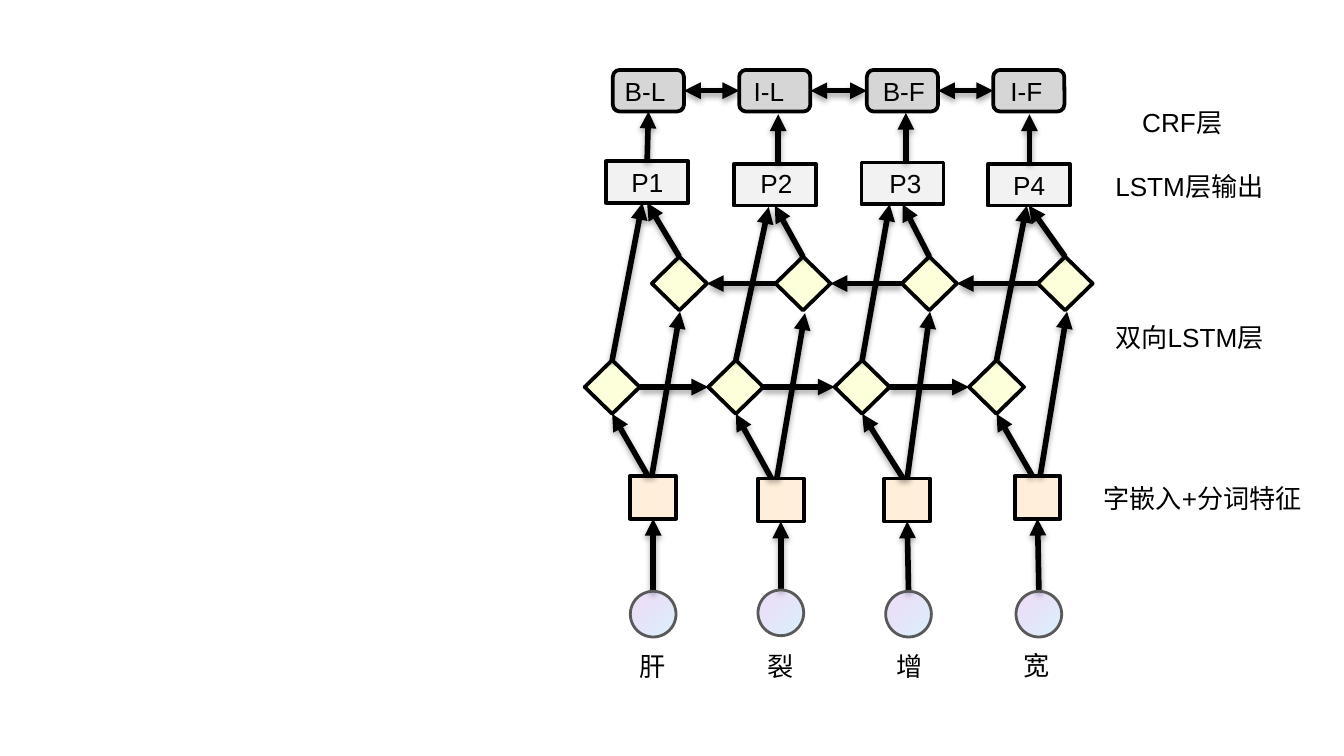
"""Draw a BiLSTM-CRF sequence labelling network with its layer captions."""
from lxml.etree import SubElement
from pptx import Presentation
from pptx.dml.color import RGBColor
from pptx.enum.shapes import MSO_CONNECTOR as LINK, MSO_SHAPE as SHAPE
from pptx.enum.text import MSO_AUTO_SIZE as AUTO_SIZE
from pptx.oxml.ns import qn
from pptx.util import Pt

PX = 9144
TOP, LEFT, BOTTOM, RIGHT = range(4)
rgb = RGBColor.from_string

deck = Presentation()
deck.slide_width = 1000 * PX
deck.slide_height = deck.slide_width * 9 // 16
shapes = deck.slides.add_slide(deck.slide_layouts[6]).shapes


def add_node(kind, x, y, width, height, fill):
    node = shapes.add_shape(kind, x * PX, y * PX, width * PX, height * PX)
    node.shadow.inherit = False
    node.fill.solid()
    node.fill.fore_color.rgb = rgb(fill)
    node.line.color.rgb = rgb("000000")
    node.line.width = Pt(2)
    return node


def add_arrow(start, end, both_ways=False):
    points = [(0, 0) if hasattr(spot[0], "shape_id") else spot for spot in (start, end)]
    arrow = shapes.add_connector(LINK.STRAIGHT, *[value * PX for point in points for value in point])
    if hasattr(start[0], "shape_id"):
        arrow.begin_connect(*start)
    if hasattr(end[0], "shape_id"):
        arrow.end_connect(*end)
    arrow.line.color.rgb = rgb("000000")
    arrow.line.width = Pt(3)
    outline = arrow.line._get_or_add_ln()
    if both_ways:
        SubElement(outline, qn("a:headEnd"), type="triangle")
    SubElement(outline, qn("a:tailEnd"), type="triangle")
    effects = SubElement(arrow._element.spPr, qn("a:effectLst"))
    shadow = SubElement(effects, qn("a:outerShdw"), blurRad="40000", dist="23000",
                        dir="5400000", rotWithShape="0")
    shade = SubElement(shadow, qn("a:srgbClr"), val="000000")
    SubElement(shade, qn("a:alpha"), val="35000")
    return arrow


tags = [add_node(SHAPE.ROUNDED_RECTANGLE, x, 52, 53, 31, "D6D6D6") for x in (456, 550, 645, 739)]
outputs = [add_node(SHAPE.RECTANGLE, x, y, 61, 31, "F2F2F2")
           for x, y in ((451, 120), (546, 122), (641, 121), (735, 122))]
backward = [add_node(SHAPE.DIAMOND, x, 191, 41, 40, "FCFFD9") for x in (485, 577, 671, 772)]
forward = [add_node(SHAPE.DIAMOND, x, 268, 41, 40, "FCFFD9") for x in (435, 527, 621, 721)]
embeddings = [add_node(SHAPE.RECTANGLE, x, y, 34, 32, "FFEED9")
              for x, y in ((469, 354), (564, 356), (658, 356), (755, 354))]

for i in range(3):
    add_arrow((tags[i], RIGHT), (tags[i + 1], LEFT), both_ways=True)
    add_arrow((backward[i + 1], LEFT), (backward[i], RIGHT))
    add_arrow((forward[i], RIGHT), (forward[i + 1], LEFT))

add_arrow((outputs[0], TOP), (tags[0], BOTTOM))
for x, y in (579, 121), (674, 120), (766, 121):
    add_arrow((x, y), (x, y - 36))

backward_starts = (485, 354), (578, 356), (675, 356), (774, 354)
backward_ends = (506, 232), (599, 233), (692, 232), (794, 232)
forward_starts = (482, 354), (574, 356), (672, 356), (768, 354)
output_ends = (478, 151), (572, 154), (662, 152), (764, 153)
word_spots = (469, 440), (564, 439), (659, 440), (756, 440)
word_arrows = []
for i, (x, y) in enumerate(word_spots):
    word_arrows.append(add_arrow((x + 17, y), (embeddings[i], BOTTOM)))
    add_arrow(backward_starts[i], backward_ends[i])
    add_arrow((backward[i], TOP), (outputs[i], BOTTOM))
    add_arrow((forward[i], TOP), output_ends[i])
    add_arrow(forward_starts[i], (forward[i], BOTTOM))

captions = [
    ("P1", 460, 119, 54), ("P2", 556, 120, 54), ("P3", 652, 120, 54), ("P4", 744, 121, 54),
    ("B-L", 455, 51, 54), ("I-L", 551, 51, 47), ("B-F", 647, 51, 54), ("I-F", 742, 51, 50),
    ("双向LSTM层", 820, 234, 133), ("LSTM层输出", 820, 122, 133),
    ("CRF层", 840, 74, 133), ("字嵌入+分词特征", 811, 354, 169),
    ("肝", 466, 479, 41), ("裂", 561, 479, 41), ("增", 657, 479, 41), ("宽", 752, 478, 41),
]
for wording, x, y, width in captions:
    frame = shapes.add_textbox(x * PX, y * PX, width * PX, 34 * PX).text_frame
    frame.word_wrap = True
    frame.auto_size = AUTO_SIZE.SHAPE_TO_FIT_TEXT
    run = frame.paragraphs[0].add_run()
    run.text = wording
    run.font.name = "Arial"
    run.font.size = Pt(14)
    run.font.color.rgb = rgb("000000")

for (x, y), word_arrow in zip(word_spots, word_arrows):
    word = add_node(SHAPE.OVAL, x, y, 34, 34, "FFFFFF")
    word.fill.gradient()
    word.fill.gradient_angle = 135
    for stop, tint, alpha in zip(word.fill.gradient_stops, ("69D4F4", "9F39D5"), ("26000", "17000")):
        stop.color.rgb = rgb(tint)
        SubElement(stop._gs.find(qn("a:srgbClr")), qn("a:alpha"), val=alpha)
    word.line.color.rgb = rgb("595959")
    word.line.width = Pt(1.5)
    word_arrow.begin_connect(word, TOP)

deck.save("out.pptx")
